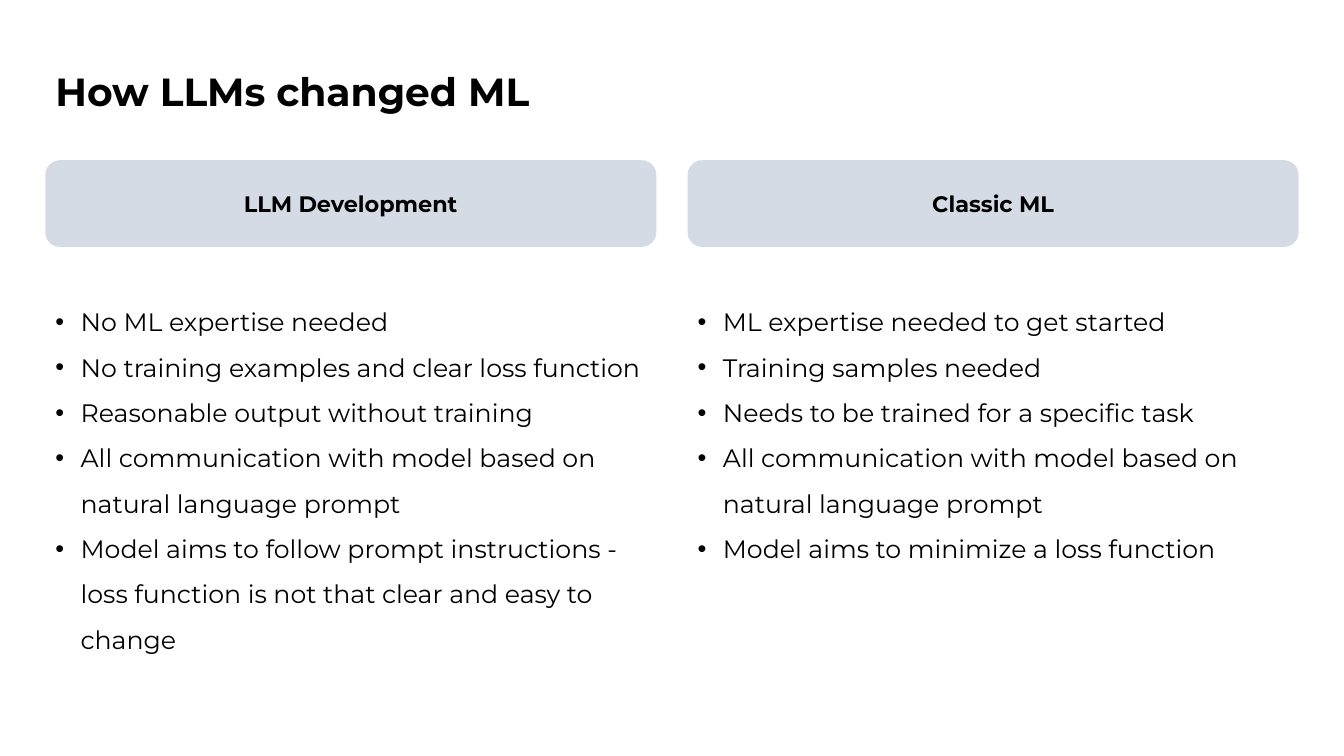
from dataclasses import dataclass

import pptx
import pptx.dml.color
import pptx.enum.shapes
import pptx.enum.text
import pptx.util
from pptx.util import Inches

FONT = "Montserrat"
BLACK = "000000"
HEADER_FILL = "D5DBE5"
LEFT, COLUMN_WIDTH, COLUMN_STEP = 0.45, 6.06, 6.37
TWO_CONTENT_LAYOUT = 3


@dataclass
class Column:
    heading: str
    points: list[str]


COLUMNS = [
    Column("LLM Development", [
        "No ML expertise needed",
        "No training examples and clear loss function",
        "Reasonable output without training",
        "All communication with model based on natural language prompt",
        "Model aims to follow prompt instructions - loss function is not that clear and easy to change",
    ]),
    Column("Classic ML", [
        "ML expertise needed to get started",
        "Training samples needed",
        "Needs to be trained for a specific task",
        "All communication with model based on natural language prompt",
        "Model aims to minimize a loss function",
    ]),
]


def rgb(value: str) -> pptx.dml.color.RGBColor:
    return pptx.dml.color.RGBColor.from_string(value)


def place(sp, left: float, top: float, width: float, height: float) -> None:
    sp.left, sp.top = Inches(left), Inches(top)
    sp.width, sp.height = Inches(width), Inches(height)


def write(sp, lines: list[str], size: int, bold: bool, align, anchor) -> None:
    """Fill a shape with one uniformly formatted paragraph per line."""
    tf = sp.text_frame
    tf.text = "\n".join(lines)
    tf.word_wrap = True
    tf.auto_size = pptx.enum.text.MSO_AUTO_SIZE.NONE
    tf.vertical_anchor = anchor
    for p in tf.paragraphs:
        p.alignment = align
        p.space_before = pptx.util.Pt(0)
        p.font.name = FONT
        p.font.size = pptx.util.Pt(size)
        p.font.bold = bold
        p.font.color.rgb = rgb(BLACK)


def add_heading(s, text: str, left: float) -> None:
    sp = s.shapes.add_shape(
        pptx.enum.shapes.MSO_SHAPE.ROUNDED_RECTANGLE,
        Inches(left), Inches(1.59), Inches(COLUMN_WIDTH), Inches(0.86))
    sp.shadow.inherit = False
    sp.fill.solid()
    sp.fill.fore_color.rgb = rgb(HEADER_FILL)
    sp.line.fill.background()
    write(sp, [text], 16, True, pptx.enum.text.PP_ALIGN.CENTER,
          pptx.enum.text.MSO_ANCHOR.MIDDLE)


def fill_list(sp, points: list[str], left: float) -> None:
    place(sp, left, 2.84, COLUMN_WIDTH, 4.76)
    write(sp, points, 18, False, pptx.enum.text.PP_ALIGN.LEFT,
          pptx.enum.text.MSO_ANCHOR.TOP)
    for p in sp.text_frame.paragraphs:
        p.line_spacing = 1.5
        pPr = p._p.get_or_add_pPr()
        pPr.set("marL", str(Inches(0.25)))
        pPr.set("indent", str(Inches(-0.25)))


def main() -> None:
    prs = pptx.Presentation()
    prs.slide_width, prs.slide_height = Inches(13.33), Inches(7.5)
    s = prs.slides.add_slide(prs.slide_layouts[TWO_CONTENT_LAYOUT])

    title = s.shapes.title
    place(title, LEFT, 0.62, 12.44, 0.57)
    write(title, ["How LLMs changed ML"], 28, True,
          pptx.enum.text.PP_ALIGN.LEFT, pptx.enum.text.MSO_ANCHOR.TOP)

    for i, column in enumerate(COLUMNS):
        left = LEFT + i * COLUMN_STEP
        add_heading(s, column.heading, left)
        fill_list(s.placeholders[i + 1], column.points, left)

    prs.save("out.pptx")


if __name__ == "__main__":
    main()
